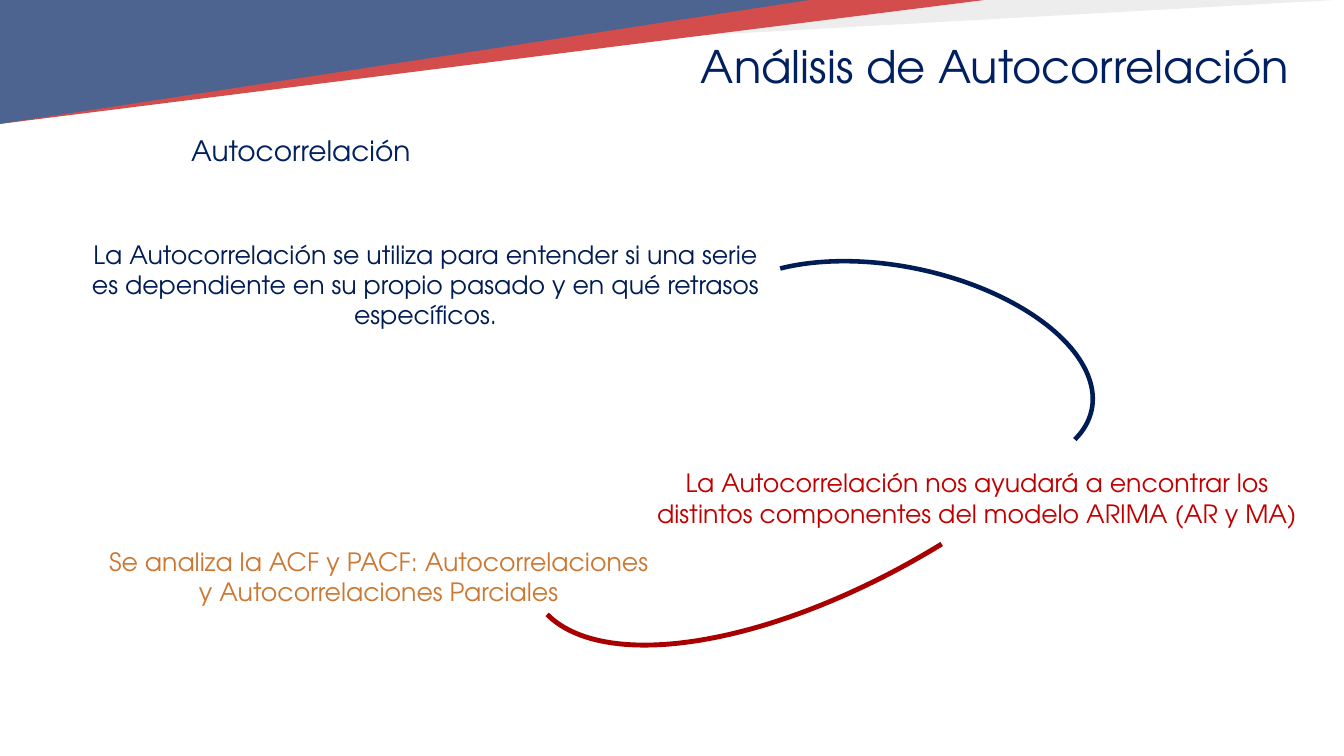
"""Build the slide on autocorrelation analysis."""
from dataclasses import dataclass
from typing import Optional

from lxml import etree
from pptx import Presentation
from pptx import slide as sl
from pptx.dml import color, fill
from pptx.enum import shapes, text
from pptx.oxml import ns
from pptx.shapes import autoshape
from pptx.text import text as tx
from pptx import util as u


@dataclass(frozen=True)
class Theme:
    """Colours, font and type sizes of the slide."""
    navy: str = "002060"
    deep_navy: str = "001C54"
    red: str = "C00000"
    dark_red: str = "A80000"
    orange: str = "CC7832"
    grey: str = "E6E6E6"
    white: str = "FFFFFF"
    font: str = "TeX Gyre Adventor"
    title_size: float = 32
    heading_size: float = 20
    body_size: float = 18


@dataclass(frozen=True)
class Frame:
    """Position and size in inches."""
    left: float
    top: float
    width: float
    height: float


@dataclass(frozen=True)
class Wedge:
    """A corner triangle of the header."""
    width: float
    height: float
    colour: str


@dataclass(frozen=True)
class Statement:
    """A rounded box with centred text."""
    frame: Frame
    words: str
    size: float
    colour: str
    background: Optional[str] = None


@dataclass(frozen=True)
class Curve:
    """A rotated arc that links two statements."""
    frame: Frame
    rotation: float
    start: float
    end: float
    colour: str
    weight: float


THEME = Theme()
SLIDE = Frame(0, 0, 13.33, 7.5)
VEIL = Frame(0, 0, SLIDE.width, 1.45)
VEIL_OPACITY = 30
TITLE = Frame(6.27, 0.33, 7.2, 0.64)

WEDGES = [
    Wedge(13.25, 0.74, THEME.grey),
    Wedge(9.77, 1.23, THEME.red),
    Wedge(8.03, 1.23, THEME.navy),
]
STATEMENTS = [
    Statement(Frame(0.73, 2.35, 6.98, 0.94),
              "La Autocorrelación se utiliza para entender si una serie es "
              "dependiente en su propio pasado y en qué retrasos específicos.",
              THEME.body_size, THEME.deep_navy, THEME.white),
    Statement(Frame(6.33, 4.47, 6.72, 0.94),
              "La Autocorrelación nos ayudará a encontrar los distintos "
              "componentes del modelo ARIMA (AR y MA)",
              THEME.body_size, THEME.red, THEME.white),
    Statement(Frame(0.89, 5.25, 5.73, 0.94),
              "Se analiza la ACF y PACF: Autocorrelaciones y "
              "Autocorrelaciones Parciales",
              THEME.body_size, THEME.orange, THEME.white),
    Statement(Frame(0.67, 1.11, 4.63, 0.76), "Autocorrelación",
              THEME.heading_size, THEME.navy),
]
CURVES = [
    Curve(Frame(6.95, 2.65, 3.92, 2.02), 12, 125.03, 5.89, THEME.deep_navy, 3.25),
    Curve(Frame(4.83, 2.6, 7.15, 3.1), 149.6, 158.12, 214.36, THEME.dark_red, 3.5),
]


def rgb(value: str) -> color.RGBColor:
    """Turn a hex string into a colour."""
    return color.RGBColor.from_string(value)


def paint(area: fill.FillFormat, colour: Optional[str]) -> None:
    """Fill an area with a solid colour, or leave it empty."""
    if colour is None:
        area.background()
    else:
        area.solid()
        area.fore_color.rgb = rgb(colour)


def add_box(page: sl.Slide, kind: shapes.MSO_SHAPE, frame: Frame,
            colour: Optional[str] = None) -> autoshape.Shape:
    """Add a preset shape without outline or shadow."""
    box = page.shapes.add_shape(kind, u.Inches(frame.left), u.Inches(frame.top),
                                u.Inches(frame.width), u.Inches(frame.height))
    box.shadow.inherit = False
    paint(box.fill, colour)
    box.line.fill.background()
    return box


def write(frame: tx.TextFrame, words: str, size: float, colour: str) -> None:
    """Write one centred paragraph."""
    frame.word_wrap = True
    para = frame.paragraphs[0]
    para.alignment = text.PP_ALIGN.CENTER
    span = para.add_run()
    span.text = words
    span.font.name = THEME.font
    span.font.size = u.Pt(size)
    span.font.color.rgb = rgb(colour)


def add_wedge(page: sl.Slide, wedge: Wedge) -> None:
    """Add a triangle hanging from the top left corner."""
    box = add_box(page, shapes.MSO_SHAPE.ISOSCELES_TRIANGLE,
                  Frame(0, 0, wedge.width, wedge.height), wedge.colour)
    box.adjustments[0] = 0
    box.element.spPr.xfrm.set("flipV", "1")


def add_veil(page: sl.Slide) -> None:
    """Add the translucent band that softens the header."""
    box = add_box(page, shapes.MSO_SHAPE.RECTANGLE, VEIL, THEME.white)
    tint = box.element.spPr.find(".//" + ns.qn("a:srgbClr"))
    etree.SubElement(tint, ns.qn("a:alpha"), val=str(VEIL_OPACITY * 1000))


def add_statement(page: sl.Slide, statement: Statement) -> None:
    """Add a rounded box and its text."""
    box = add_box(page, shapes.MSO_SHAPE.ROUNDED_RECTANGLE, statement.frame,
                  statement.background)
    box.text_frame.vertical_anchor = text.MSO_ANCHOR.MIDDLE
    write(box.text_frame, statement.words, statement.size, statement.colour)


def add_curve(page: sl.Slide, curve: Curve) -> None:
    """Add a rotated arc."""
    arc = add_box(page, shapes.MSO_SHAPE.ARC, curve.frame)
    arc.adjustments[0] = curve.start
    arc.adjustments[1] = curve.end
    arc.rotation = curve.rotation
    paint(arc.line.fill, curve.colour)
    arc.line.width = u.Pt(curve.weight)


def place_title(page: sl.Slide) -> None:
    """Format the title and bring it in front of the header."""
    title = page.shapes.title
    title.left, title.top = u.Inches(TITLE.left), u.Inches(TITLE.top)
    title.width, title.height = u.Inches(TITLE.width), u.Inches(TITLE.height)
    title.text_frame.vertical_anchor = text.MSO_ANCHOR.TOP
    title.text_frame.auto_size = text.MSO_AUTO_SIZE.SHAPE_TO_FIT_TEXT
    write(title.text_frame, "Análisis de Autocorrelación",
          THEME.title_size, THEME.navy)
    page.shapes.element.append(title.element)


def main() -> None:
    """Build and save the deck."""
    deck = Presentation()
    deck.slide_width = u.Inches(SLIDE.width)
    deck.slide_height = u.Inches(SLIDE.height)
    page = deck.slides.add_slide(deck.slide_layouts.get_by_name("Title Only"))
    for wedge in WEDGES:
        add_wedge(page, wedge)
    add_veil(page)
    for statement in STATEMENTS:
        add_statement(page, statement)
    for curve in CURVES:
        add_curve(page, curve)
    place_title(page)
    deck.save("out.pptx")


if __name__ == "__main__":
    main()
